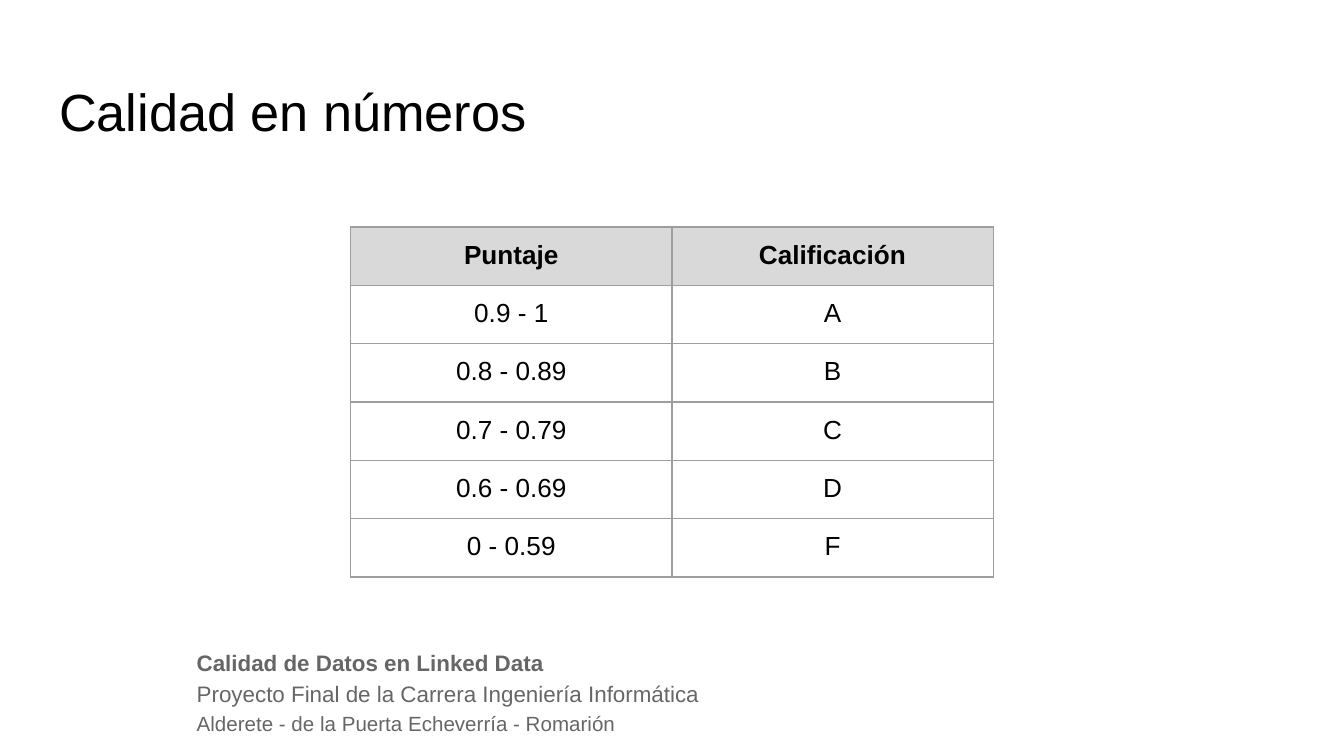
from lxml.etree import SubElement
from pptx import Presentation
from pptx.dml.color import RGBColor
from pptx.enum.text import MSO_ANCHOR, PP_ALIGN
from pptx.oxml.ns import qn
from pptx.util import Inches, Pt

COLORS = {"text": "000000", "footer": "666666", "header": "D9D9D9", "border": "9E9E9E"}
FONT = "Arial"
WIDTH = Inches(10)
HEIGHT = WIDTH * 9 // 16
MARGIN = Inches(0.1)
HEADER_SHARE = 0.17

GRADES = [
    ("Puntaje", "Calificación"),
    ("0.9 - 1", "A"),
    ("0.8 - 0.89", "B"),
    ("0.7 - 0.79", "C"),
    ("0.6 - 0.69", "D"),
    ("0 - 0.59", "F"),
]
FOOTER = [
    ("Calidad de Datos en Linked Data", 12, True),
    ("Proyecto Final de la Carrera Ingeniería Informática", 12, False),
    ("Alderete - de la Puerta Echeverría - Romarión", 11, False),
]


def share(left, top, width, height):
    """Turn percentages of the slide's size into a box of lengths."""
    return (int(WIDTH * left / 100), int(HEIGHT * top / 100),
            int(WIDTH * width / 100), int(HEIGHT * height / 100))


def style_paragraph(paragraph, size, color, bold=False, align=PP_ALIGN.LEFT):
    paragraph.alignment = align
    font = paragraph.font
    font.name, font.size, font.bold = FONT, Pt(size), bold
    font.color.rgb = RGBColor.from_string(COLORS[color])


def set_margins(holder):
    holder.margin_left = holder.margin_right = MARGIN
    holder.margin_top = holder.margin_bottom = MARGIN


def add_title(slide, box, text):
    title = slide.shapes.title
    title.left, title.top, title.width, title.height = box
    frame = title.text_frame
    frame.text = text
    frame.vertical_anchor = MSO_ANCHOR.TOP
    set_margins(frame)
    style_paragraph(frame.paragraphs[0], 28, "text")


def add_footer(slide, box, lines):
    frame = slide.shapes.add_textbox(*box).text_frame
    frame.word_wrap = True
    set_margins(frame)
    frame.text = "\n".join(text for text, _, _ in lines)
    for paragraph, (_, size, bold) in zip(frame.paragraphs, lines):
        paragraph.line_spacing = 1.15
        style_paragraph(paragraph, size, "footer", bold)


def add_borders(cell):
    properties = cell._tc.get_or_add_tcPr()
    for position, side in enumerate(("a:lnL", "a:lnR", "a:lnT", "a:lnB")):
        line = properties.makeelement(qn(side), {"w": str(Pt(0.75))})
        fill = SubElement(line, qn("a:solidFill"))
        SubElement(fill, qn("a:srgbClr"), val=COLORS["border"])
        properties.insert(position, line)


def add_grades(slide, box, rows):
    width, height = box[2:]
    table = slide.shapes.add_table(len(rows), len(rows[0]), *box).table
    header_height = int(height * HEADER_SHARE)
    body_height = (height - header_height) // (len(rows) - 1)
    for column in table.columns:
        column.width = width // len(rows[0])
    for row_index, values in enumerate(rows):
        is_header = row_index == 0
        table.rows[row_index].height = header_height if is_header else body_height
        for column_index, value in enumerate(values):
            cell = table.cell(row_index, column_index)
            cell.text = value
            set_margins(cell)
            style_paragraph(cell.text_frame.paragraphs[0], 14, "text",
                            is_header, PP_ALIGN.CENTER)
            if is_header:
                cell.fill.solid()
                cell.fill.fore_color.rgb = RGBColor.from_string(COLORS["header"])
            else:
                cell.fill.background()
            add_borders(cell)


def main():
    presentation = Presentation()
    presentation.slide_width, presentation.slide_height = WIDTH, HEIGHT
    slide = presentation.slides.add_slide(presentation.slide_layouts[5])
    add_footer(slide, share(13.65, 83.56, 74.9, 16.7), FOOTER)
    add_title(slide, share(3.4, 8.7, 93.2, 11.2), "Calidad en números")
    add_grades(slide, share(26.1, 30.04, 47.8, 45), GRADES)
    presentation.save("out.pptx")


if __name__ == "__main__":
    main()
